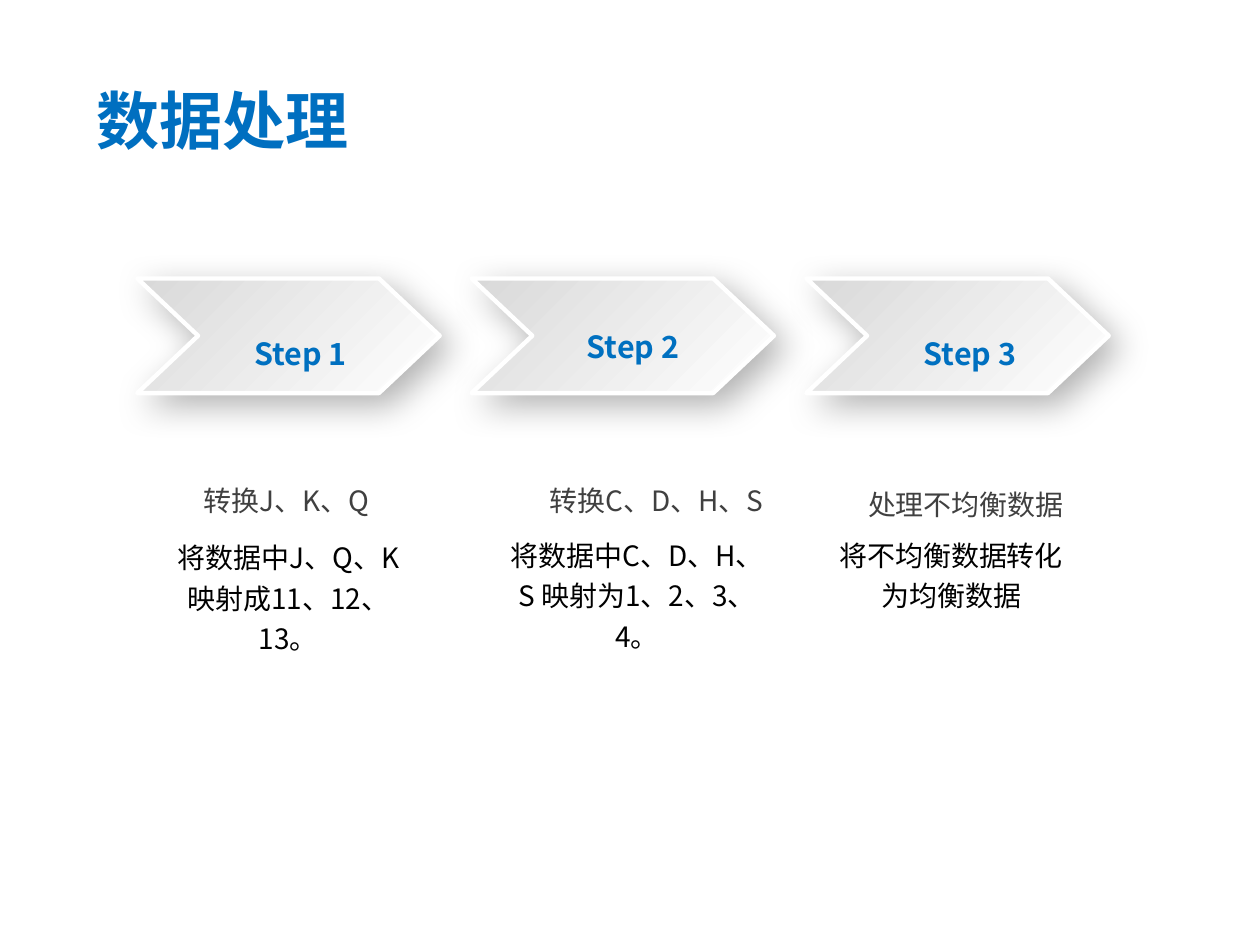
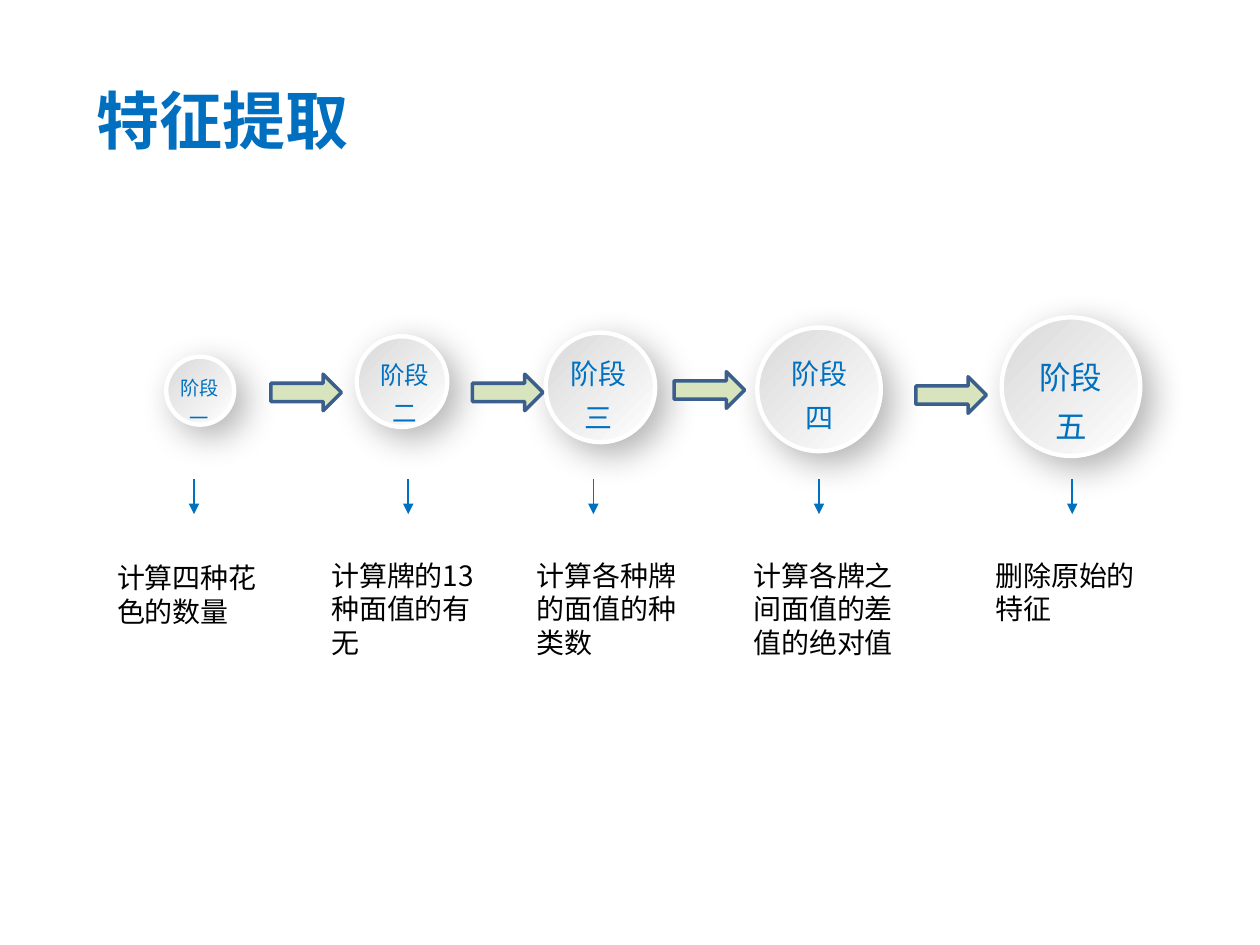
from dataclasses import dataclass
from typing import Any

from lxml.etree import SubElement
from pptx import Presentation
from pptx.dml.color import RGBColor
from pptx.enum.shapes import MSO_CONNECTOR as Connector, MSO_SHAPE as Shape
from pptx.enum.text import MSO_ANCHOR as Anchor, MSO_AUTO_SIZE as AutoSize, PP_ALIGN as Align
from pptx.oxml.ns import qn
from pptx.util import Pt

FONT = "Noto Sans CJK SC"
TITLE_BLUE, BLUE, GREY, BLACK = "006FC0", "0070C0", "404040", "000000"
SILVER, WHITE, LEAF, NAVY = "D9D9D9", "FFFFFF", "D7E4BD", "3A5F8C"

TITLE_FRAME = dict(margin_left=0, margin_right=0, margin_top=0, margin_bottom=0,
                   word_wrap=True, vertical_anchor=Anchor.MIDDLE,
                   auto_size=AutoSize.SHAPE_TO_FIT_TEXT)
NOTE_FRAME = dict(margin_left=Pt(5), margin_right=Pt(5), margin_top=Pt(2.9),
                  margin_bottom=Pt(2.9), word_wrap=True,
                  auto_size=AutoSize.SHAPE_TO_FIT_TEXT)
STEP_FRAME = dict(word_wrap=True, vertical_anchor=Anchor.MIDDLE,
                  auto_size=AutoSize.SHAPE_TO_FIT_TEXT)
PHASE_FRAME = dict(word_wrap=False, auto_size=AutoSize.SHAPE_TO_FIT_TEXT)


@dataclass(frozen=True)
class Box:
    left: float
    top: float
    width: float
    height: float

    def lengths(self) -> list[Pt]:
        return [Pt(n) for n in (self.left, self.top, self.width, self.height)]


@dataclass(frozen=True)
class Step:
    name: str
    chevron_left: float
    name_box: Box
    spacing: float
    heading: str
    heading_box: Box
    detail: str
    detail_box: Box


@dataclass(frozen=True)
class Phase:
    numeral: str
    size: int
    circle_left: float
    circle_top: float
    diameter: float
    label_left: float
    label_top: float
    pointer_x: float
    note: str
    note_left: float
    note_top: float
    note_lines: int


STEPS = [
    Step("Step 1", 78.5, Box(96.5, 171.4, 150.5, 41.8), 1.2,
         "转换J、K、Q", Box(94.3, 273.6, 139, 24.5),
         "将数据中J、Q、K映射成11、12、13。", Box(90.7, 302.4, 148.3, 51.8)),
    Step("Step 2", 269.5, Box(288.7, 172.8, 146.2, 38.9), 1.0,
         "转换C、D、H、S", Box(285.1, 273.6, 180, 24.5),
         "将数据中C、D、H、S 映射为1、2、3、4。", Box(286.6, 301, 154.8, 51.8)),
    Step("Step 3", 460.8, Box(482.4, 171.4, 144, 41.8), 1.2,
         "处理不均衡数据", Box(470.2, 275.8, 163.4, 24.5),
         "将不均衡数据转化为均衡数据", Box(470.2, 301, 146.9, 51.8)),
]
PHASES = [
    Phase("一", 11, 95, 203.8, 38.9, 95.8, 207.4, 110.9,
          "计算四种花色的数量", 61.9, 317.5, 2),
    Phase("二", 14, 203.8, 192.2, 51.8, 210.2, 197.3, 233.3,
          "计算牌的13种面值的有无", 184.3, 316.1, 3),
    Phase("三", 16, 311.8, 190.1, 62.6, 319, 194.4, 339.1,
          "计算各种牌的面值的种类数", 301.7, 316.1, 3),
    Phase("四", 16, 432.7, 187.2, 70.6, 445, 194.4, 468,
          "计算各牌之间面值的差值的绝对值", 425.5, 316.1, 3),
    Phase("五", 18, 572.4, 181.4, 79.2, 586.8, 194.4, 612.7,
          "删除原始的特征", 563.8, 316.1, 2),
]
ARROW_CORNERS = [(154.8, 213.8), (270, 213.8), (385.2, 212.4), (523.4, 215.3)]


def color(value: str) -> RGBColor:
    return RGBColor.from_string(value)


def apply(target: Any, formats: dict[str, Any]) -> None:
    for name, value in formats.items():
        setattr(target, name, value)


def write(shape: Any, lines: list[str], frame: dict[str, Any], size: float, ink: str,
          align: Any = Align.LEFT, spacing: float = 1.0, bold: bool = False,
          baseline: int = 0) -> None:
    text = shape.text_frame
    apply(text, frame)
    for index, line in enumerate(lines):
        paragraph = text.add_paragraph() if index else text.paragraphs[0]
        apply(paragraph, dict(alignment=align, line_spacing=spacing))
        run = paragraph.add_run()
        run.text = line
        apply(run.font, dict(size=Pt(size), bold=bold, name=FONT))
        run.font.color.rgb = color(ink)
        properties = run.font._element
        SubElement(properties, qn("a:ea")).set("typeface", FONT)
        if baseline:
            properties.set("baseline", str(baseline))


def add_text(shapes: Any, box: Box, lines: list[str], frame: dict[str, Any],
             size: float, ink: str, **formats: Any) -> None:
    write(shapes.add_textbox(*box.lengths()), lines, frame, size, ink, **formats)


def add_titled_slide(deck: Any, title: str, width: float) -> Any:
    slide = deck.slides.add_slide(deck.slide_layouts.get_by_name("Title Only"))
    place = slide.shapes.title
    apply(place, dict(zip(("left", "top", "width", "height"),
                          Box(55.4, 45.4, width, 45.4).lengths())))
    write(place, [title], TITLE_FRAME, 36, TITLE_BLUE, bold=True)
    return slide


def make_raised(shape: Any) -> None:
    shape.fill.gradient()
    shape.fill.gradient_angle = 315
    for stop, shade in zip(shape.fill.gradient_stops, (SILVER, WHITE)):
        stop.color.rgb = color(shade)
    shape.line.color.rgb = color(WHITE)
    shape.line.width = Pt(2.5)
    shape.shadow.inherit = False
    effects = shape._element.spPr.find(qn("a:effectLst"))
    shadow = SubElement(effects, qn("a:outerShdw"), blurRad=str(Pt(20)),
                        dist=str(Pt(8)), dir="2700000", algn="tl", rotWithShape="0")
    shade = SubElement(shadow, qn("a:srgbClr"), val=BLACK)
    SubElement(shade, qn("a:alpha"), val="30000")


def add_chevron(shapes: Any, left: float) -> None:
    top, width, height, notch = 159.1, 172.8, 65.5, 34.7
    right, middle, bottom = left + width, top + height / 2, top + height
    outline = [(right - notch, top), (right, middle), (right - notch, bottom),
               (left, bottom), (left + notch, middle)]
    builder = shapes.build_freeform(Pt(left), Pt(top))
    builder.add_line_segments([(Pt(x), Pt(y)) for x, y in outline], close=True)
    make_raised(builder.convert_to_shape())


def add_step(slide: Any, step: Step) -> None:
    group = slide.shapes.add_group_shape().shapes
    add_chevron(group, step.chevron_left)
    add_text(group, step.name_box, [step.name], STEP_FRAME, 30, BLUE,
             align=Align.CENTER, spacing=step.spacing, bold=True, baseline=-3000)
    add_text(slide.shapes, step.heading_box, [step.heading], NOTE_FRAME, 16, GREY,
             align=Align.CENTER)
    add_text(slide.shapes, step.detail_box, [step.detail], NOTE_FRAME, 16, BLACK,
             align=Align.CENTER, spacing=1.2)


def add_pointer(slide: Any, x: float) -> None:
    pointer = slide.shapes.add_connector(Connector.STRAIGHT, Pt(x), Pt(273.6),
                                         Pt(x), Pt(293.8))
    pointer.line.color.rgb = color(BLUE)
    pointer.line.width = Pt(1)
    SubElement(pointer.line._get_or_add_ln(), qn("a:tailEnd"), type="triangle")
    SubElement(pointer._element.spPr, qn("a:effectLst"))


def add_phase(slide: Any, phase: Phase) -> None:
    group = slide.shapes.add_group_shape().shapes
    circle = Box(phase.circle_left, phase.circle_top, phase.diameter, phase.diameter)
    make_raised(group.add_shape(Shape.OVAL, *circle.lengths()))
    label = Box(phase.label_left, phase.label_top,
                14.4 + 2 * phase.size, 7.2 + 3.15 * phase.size)
    add_text(group, label, ["阶段", phase.numeral], PHASE_FRAME, phase.size, BLUE,
             align=Align.CENTER, spacing=1.3)
    note = Box(phase.note_left, phase.note_top, 94.3, 5.8 + 19.2 * phase.note_lines)
    add_text(slide.shapes, note, [phase.note], NOTE_FRAME, 16, BLACK)
    add_pointer(slide, phase.pointer_x)


def add_arrow(slide: Any, left: float, top: float) -> None:
    arrow = slide.shapes.add_shape(Shape.RIGHT_ARROW, *Box(left, top, 40.3, 20.9).lengths())
    arrow.fill.solid()
    arrow.fill.fore_color.rgb = color(LEAF)
    arrow.line.color.rgb = color(NAVY)
    arrow.line.width = Pt(2)
    arrow.shadow.inherit = False


def main() -> None:
    deck = Presentation()
    apply(deck, dict(slide_width=Pt(720), slide_height=Pt(540)))

    processing = add_titled_slide(deck, "数据处理", 571)
    for step in STEPS:
        add_step(processing, step)

    extraction = add_titled_slide(deck, "特征提取", 166.3)
    for phase in PHASES:
        add_phase(extraction, phase)
    for left, top in ARROW_CORNERS:
        add_arrow(extraction, left, top)

    deck.save("out.pptx")


if __name__ == "__main__":
    main()
